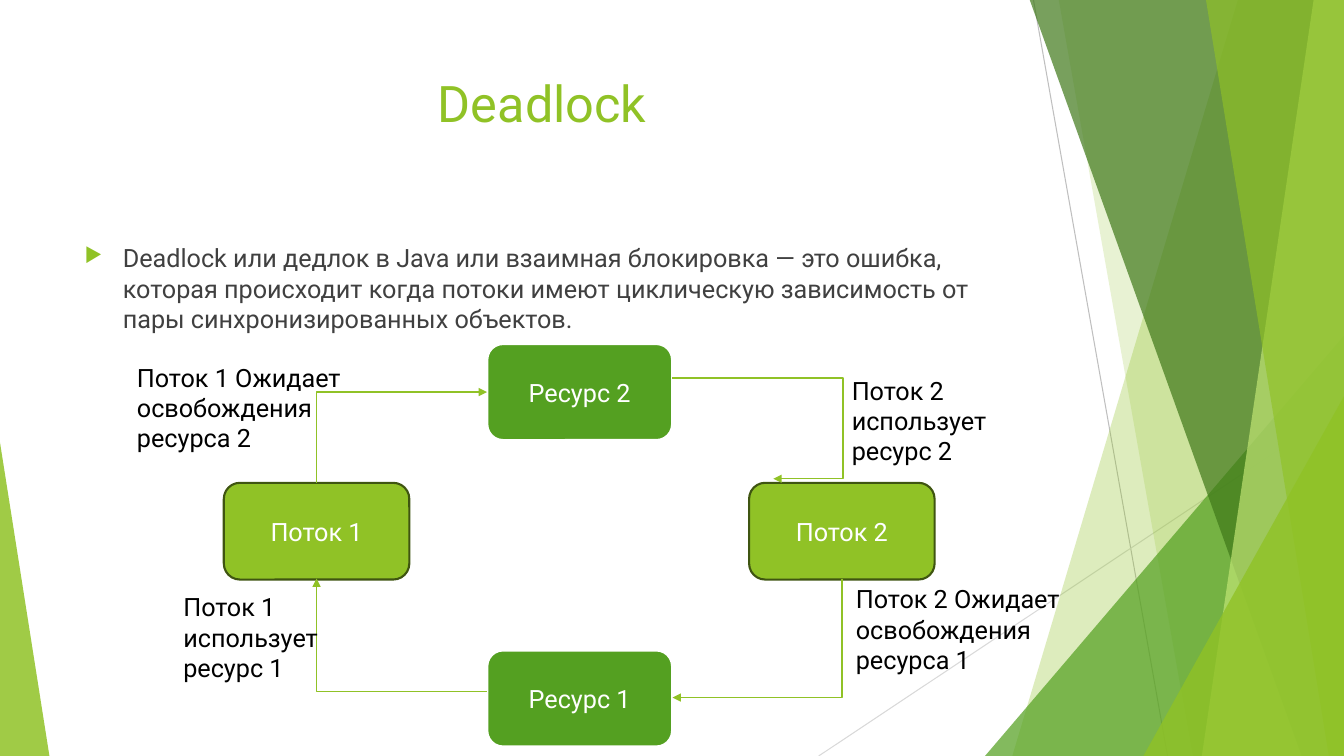
from dataclasses import dataclass
from typing import NamedTuple, Optional

from lxml.etree import SubElement
from pptx import Presentation
from pptx.dml.color import RGBColor
from pptx.enum.shapes import MSO_CONNECTOR, MSO_SHAPE
from pptx.enum.text import MSO_ANCHOR, PP_ALIGN
from pptx.oxml.ns import qn
from pptx.util import Inches, Pt


@dataclass(frozen=True)
class Theme:
    font: str = "Roboto"
    title_size: float = 36
    text_size: float = 18
    lime: str = "90C226"
    green: str = "54A021"
    forest: str = "3F7819"
    pale: str = "C0E474"
    olive: str = "3F5511"
    body: str = "404040"
    black: str = "000000"
    white: str = "FFFFFF"
    ray: str = "BFBFBF"
    faint_ray: str = "D9D9D9"


class Point(NamedTuple):
    x: float
    y: float


class Band(NamedTuple):
    """Facet from the slide's top edge to its bottom, ending at the right edge."""
    top_x: float
    bottom_x: float
    color: str
    alpha: int


class Corner(NamedTuple):
    left: float
    top: float
    width: float
    apex: float
    color: str
    alpha: int


class Node(NamedTuple):
    text: str
    left: float
    top: float
    fill: str
    line: str
    line_width: float


class Arrow(NamedTuple):
    start: Point
    end: Point
    vertical_first: bool = False
    bend: Optional[float] = None


class Label(NamedTuple):
    left: float
    top: float
    lines: tuple[str, ...]


T = Theme()
WIDTH, HEIGHT = 13.33, 7.5
NODE_W, NODE_H = 1.84, 0.96
LABEL_W, LABEL_H = 2.84, 1.01

RAYS = [
    (Point(10.25, 0), Point(11.58, HEIGHT), T.ray),
    (Point(WIDTH, 4.03), Point(8.12, HEIGHT), T.faint_ray),
]
FACETS = [
    Band(12.28, 10.04, T.lime, 30),
    Band(10.5, 11.83, T.lime, 20),
    Corner(9.77, 3.33, 3.56, 1, T.green, 72),
    Band(10.21, 12.91, T.forest, 70),
    Band(13.03, 11.92, T.pale, 70),
    Band(11.96, 13.18, T.lime, 65),
    Corner(11.34, 3.93, 1.99, 1, T.lime, 80),
    Corner(0, 4.39, 0.49, 0, T.lime, 85),
]
NODES = [
    Node("Поток 1", 2.22, 4.79, T.lime, T.olive, 1.5),
    Node("Поток 2", 7.43, 4.79, T.lime, T.olive, 1.5),
    Node("Ресурс 1", 4.83, 6.45, T.green, T.white, 2),
    Node("Ресурс 2", 4.83, 3.41, T.green, T.white, 2),
]
ARROWS = [
    Arrow(Point(3.14, 4.79), Point(4.83, 3.89), vertical_first=True),
    Arrow(Point(4.83, 6.86), Point(3.14, 5.74)),
    Arrow(Point(8.35, 5.74), Point(6.67, 6.92), vertical_first=True),
    Arrow(Point(6.67, 3.75), Point(7.67, 4.75), bend=1.69),
]
LABELS = [
    Label(1.26, 3.54, ("Поток 1 Ожидает освобождения ресурса 2",)),
    Label(1.72, 5.82, ("Поток 1", "использует", "ресурс 1")),
    Label(8.39, 5.74, ("Поток 2 Ожидает освобождения ресурса 1",)),
    Label(8.35, 3.67, ("Поток 2", "использует", "ресурс 2")),
]


def rgb(color: str) -> RGBColor:
    return RGBColor.from_string(color)


def add_run(p, text: str, color: str, size: float = T.text_size) -> None:
    r = p.add_run()
    r.text = text
    r.font.name, r.font.size = T.font, Pt(size)
    r.font.color.rgb = rgb(color)


def add_text_frame(slide, left: float, top: float, width: float, height: float):
    tf = slide.shapes.add_textbox(*map(Inches, (left, top, width, height))).text_frame
    tf.word_wrap = True
    return tf


def add_line(slide, kind, start: Point, end: Point, color: str, width: float):
    line = slide.shapes.add_connector(kind, *map(Inches, (*start, *end)))
    line.line.color.rgb, line.line.width = rgb(color), Pt(width)
    SubElement(line._element.spPr, qn("a:effectLst"))
    return line


def add_facet(slide, facet: Band | Corner) -> None:
    if isinstance(facet, Band):
        outline = [(facet.top_x, -0.01), (WIDTH, -0.01), (WIDTH, HEIGHT), (facet.bottom_x, HEIGHT)]
        points = [(Inches(x), Inches(y)) for x, y in outline]
        builder = slide.shapes.build_freeform(*points[0])
        builder.add_line_segments(points[1:], close=True)
        sp = builder.convert_to_shape()
    else:
        box = (facet.left, facet.top, facet.width, HEIGHT - facet.top)
        sp = slide.shapes.add_shape(MSO_SHAPE.ISOSCELES_TRIANGLE, *map(Inches, box))
        sp.adjustments[0] = facet.apex
    sp.shadow.inherit = False
    sp.line.fill.background()
    sp.fill.solid()
    sp.fill.fore_color.rgb = rgb(facet.color)
    fill_color = sp._element.spPr.find(qn("a:solidFill"))[0]
    SubElement(fill_color, qn("a:alpha"), val=str(facet.alpha * 1000))


def add_node(slide, node: Node) -> None:
    box = (node.left, node.top, NODE_W, NODE_H)
    sp = slide.shapes.add_shape(MSO_SHAPE.ROUNDED_RECTANGLE, *map(Inches, box))
    sp.shadow.inherit = False
    sp.fill.solid()
    sp.fill.fore_color.rgb = rgb(node.fill)
    sp.line.color.rgb, sp.line.width = rgb(node.line), Pt(node.line_width)
    sp.text_frame.vertical_anchor = MSO_ANCHOR.MIDDLE
    p = sp.text_frame.paragraphs[0]
    p.alignment = PP_ALIGN.CENTER
    add_run(p, node.text, T.white)


def add_arrow(slide, arrow: Arrow) -> None:
    """Draw an elbow; a vertical first leg is a horizontal one turned by 90 degrees."""
    start, end = arrow.start, arrow.end
    if arrow.vertical_first:
        mid = Point((start.x + end.x) / 2, (start.y + end.y) / 2)
        half_x, half_y = (end.y - start.y) / 2, (start.x - end.x) / 2
        start = Point(mid.x - half_x, mid.y - half_y)
        end = Point(mid.x + half_x, mid.y + half_y)
    line = add_line(slide, MSO_CONNECTOR.ELBOW, start, end, T.lime, 1)
    sp_pr = line._element.spPr
    if arrow.vertical_first:
        sp_pr.find(qn("a:xfrm")).set("rot", str(90 * 60000))
    geometry = sp_pr.find(qn("a:prstGeom"))
    if arrow.bend is None:
        geometry.set("prst", "bentConnector2")
    else:
        guides = geometry.find(qn("a:avLst"))
        SubElement(guides, qn("a:gd"), name="adj1", fmla=f"val {round(arrow.bend * 100000)}")
    SubElement(sp_pr.find(qn("a:ln")), qn("a:tailEnd"), type="triangle")


def add_label(slide, label: Label) -> None:
    tf = add_text_frame(slide, label.left, label.top, LABEL_W, LABEL_H)
    for i, text in enumerate(label.lines):
        add_run(tf.add_paragraph() if i else tf.paragraphs[0], text, T.black)


def add_title(slide) -> None:
    p = add_text_frame(slide, 0.74, 0.67, 9.4, 1.44).paragraphs[0]
    p.alignment = PP_ALIGN.CENTER
    add_run(p, "Deadlock ", T.lime, T.title_size)


def add_definition(slide) -> None:
    p = add_text_frame(slide, 0.74, 2.36, 9.4, 4.24).paragraphs[0]
    p.space_before = Pt(10)
    p_pr = p._p.get_or_add_pPr()
    p_pr.set("marL", str(Inches(0.38)))
    p_pr.set("indent", str(-Inches(0.38)))
    SubElement(SubElement(p_pr, qn("a:buClr")), qn("a:srgbClr"), val=T.lime)
    SubElement(p_pr, qn("a:buSzPct"), val="80000")
    SubElement(p_pr, qn("a:buChar"), char="▶")
    add_run(p, "Deadlock или дедлок в Java или взаимная блокировка — это ошибка, "
               "которая происходит когда потоки имеют циклическую зависимость от "
               "пары синхронизированных объектов.", T.body)


def main() -> None:
    prs = Presentation()
    prs.slide_width, prs.slide_height = Inches(WIDTH), Inches(HEIGHT)
    slide = prs.slides.add_slide(prs.slide_layouts[6])
    for start, end, color in RAYS:
        add_line(slide, MSO_CONNECTOR.STRAIGHT, start, end, color, 0.75)
    for facet in FACETS:
        add_facet(slide, facet)
    add_title(slide)
    add_definition(slide)
    for draw, items in ((add_node, NODES), (add_arrow, ARROWS), (add_label, LABELS)):
        for item in items:
            draw(slide, item)
    prs.save("out.pptx")


if __name__ == "__main__":
    main()
